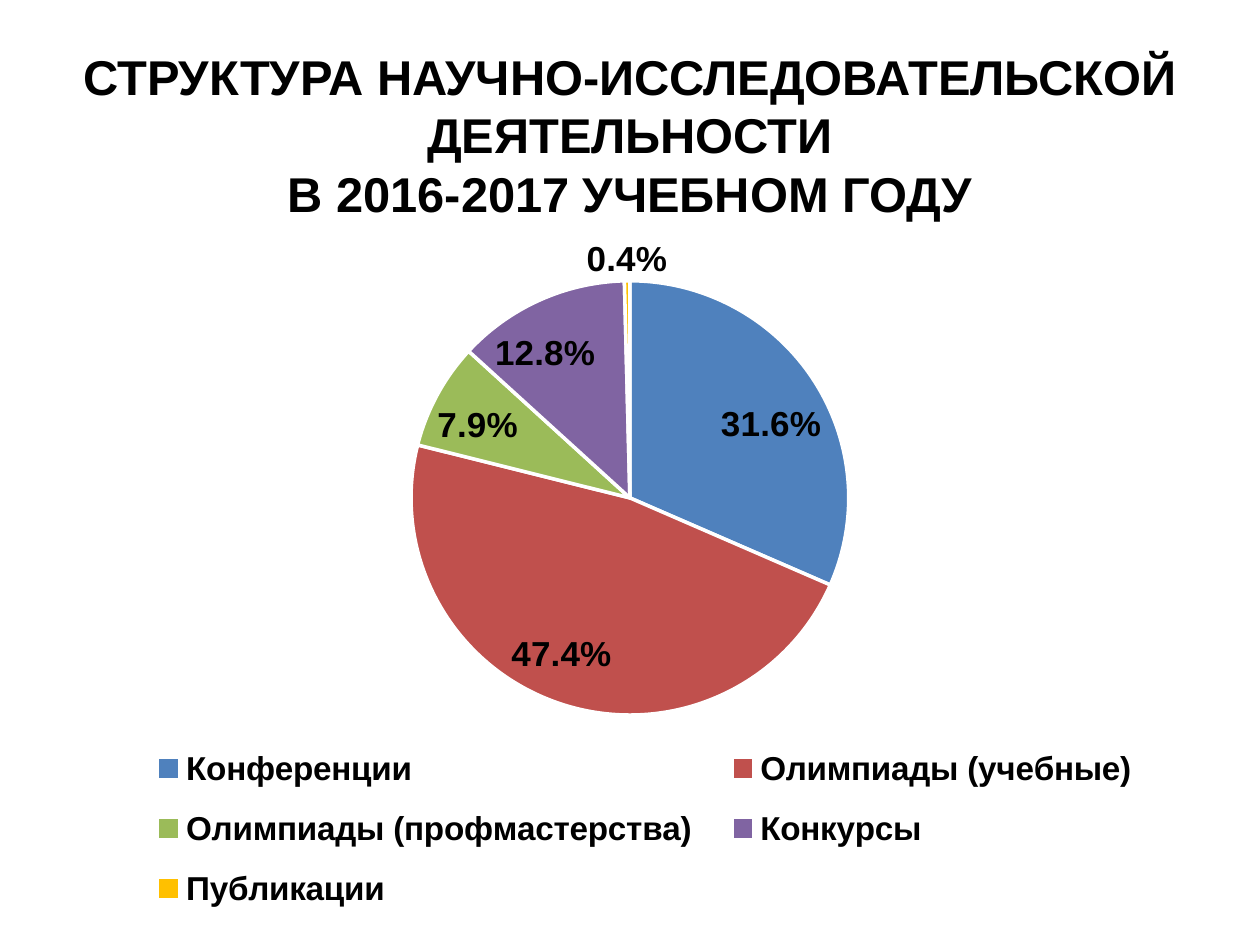
from lxml import etree
from pptx import Presentation
from pptx.chart.data import CategoryChartData
from pptx.dml.color import RGBColor
from pptx.enum.chart import XL_CHART_TYPE, XL_LABEL_POSITION, XL_LEGEND_POSITION
from pptx.enum.text import MSO_ANCHOR, PP_ALIGN
from pptx.oxml.ns import qn
from pptx.util import Inches, Pt

PIE = XL_CHART_TYPE.PIE
FIT = XL_LABEL_POSITION.BEST_FIT
BOTTOM = XL_LEGEND_POSITION.BOTTOM
MIDDLE = MSO_ANCHOR.MIDDLE
CENTER = PP_ALIGN.CENTER

COLORS = {"text": "000000", "edge": "FFFFFF", "blue": "4F81BD", "red": "C0504D",
          "green": "9BBB59", "purple": "8064A2", "gold": "FFC000"}
SHARES = [("Конференции", 0.316, "blue"),
          ("Олимпиады (учебные)", 0.474, "red"),
          ("Олимпиады (профмастерства)", 0.079, "green"),
          ("Конкурсы", 0.128, "purple"),
          ("Публикации", 0.004, "gold")]


def rgb(name):
    return RGBColor.from_string(COLORS[name])


def style(font, size, color="text", bold=True, face="Arial"):
    font.name, font.size, font.bold = face, Pt(size), bold
    font.color.rgb = rgb(color)


def write(frame, text, size, align=CENTER, **fmt):
    frame.text = text
    for para in frame.paragraphs:
        para.alignment = align
        for run in para.runs:
            style(run.font, size, **fmt)


def layout(parent, index, x, y, w, h, inner=False):
    """Fix a chart part at fractions of the chart area."""
    for old in parent.findall(qn("c:layout")):
        parent.remove(old)
    node = etree.Element(qn("c:layout"))
    manual = etree.SubElement(node, qn("c:manualLayout"))
    rules = [("layoutTarget", "inner")] if inner else []
    rules += [("xMode", "edge"), ("yMode", "edge"),
              ("x", x), ("y", y), ("w", w), ("h", h)]
    for tag, val in rules:
        etree.SubElement(manual, qn("c:" + tag)).set("val", str(val))
    parent.insert(index, node)


def add_title(slide, x, y, w, h):
    title = slide.shapes.title
    title.left, title.top, title.width, title.height = map(Inches, (x, y, w, h))
    frame = title.text_frame
    frame.word_wrap = True
    frame.vertical_anchor = MIDDLE
    frame.margin_bottom = Inches(0.65)
    write(frame, "СТРУКТУРА НАУЧНО-ИССЛЕДОВАТЕЛЬСКОЙ ДЕЯТЕЛЬНОСТИ\v"
                 "В 2016-2017 УЧЕБНОМ ГОДУ", 27.9)


def add_pie(slide, x, y, w, h):
    data = CategoryChartData(number_format="0.0%")
    data.categories = [name for name, _, _ in SHARES]
    data.add_series("Series 1", [share for _, share, _ in SHARES])
    chart = slide.shapes.add_chart(PIE, *map(Inches, (x, y, w, h)), data).chart
    chart.has_title = False
    style(chart.font, 20)

    # Slices
    plot = chart.plots[0]
    plot.vary_by_categories = True
    for i, (_, _, color) in enumerate(SHARES):
        part = plot.series[0].points[i].format
        part.fill.solid()
        part.fill.fore_color.rgb = rgb(color)
        part.line.color.rgb = rgb("edge")
        part.line.width = Pt(2)

    # Labels
    labels = plot.series[0].data_labels
    labels.show_value = True
    labels.show_percentage = False
    labels.number_format = "0.0%"
    labels.number_format_is_linked = False
    labels.position = FIT
    style(labels.font, 20)

    # Legend
    chart.has_legend = True
    legend = chart.legend
    legend.position = BOTTOM
    legend.include_in_layout = False
    style(legend.font, 19)

    # Placement inside the chart
    area = plot._element.getparent()
    layout(area, 0, 0.076, 0.058, 0.844, 0.616, inner=True)
    layout(legend._element, 1, 0.1, 0.69, 0.82, 0.29)


deck = Presentation()
deck.slide_width, deck.slide_height = Inches(10), Inches(7.5)
slide = deck.slides.add_slide(deck.slide_layouts[5])
add_title(slide, 0, 0.7, 10, 1.33)
add_pie(slide, 0.02, 1.86, 10, 5.64)
deck.save("out.pptx")
